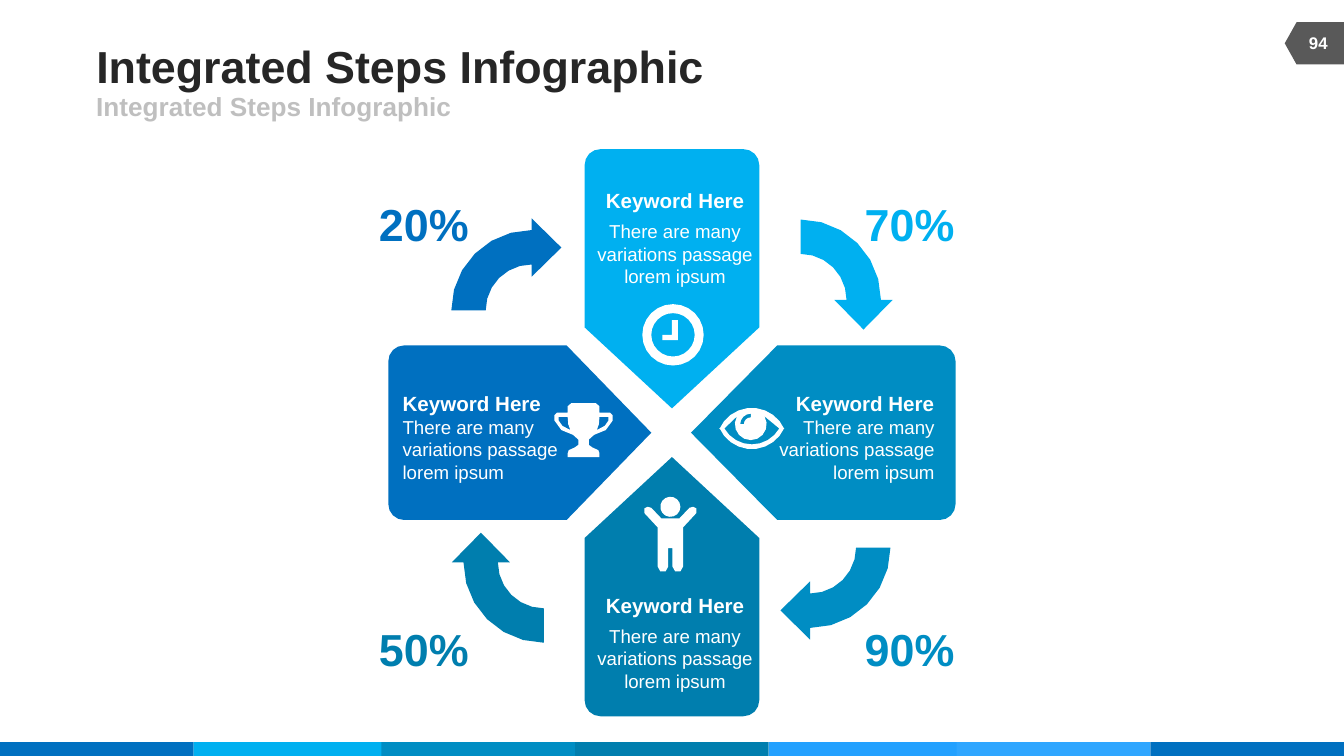
import math

import pptx
import pptx.dml.color
import pptx.enum.shapes
import pptx.enum.text
import pptx.util

Cm = pptx.util.Cm
RGBColor = pptx.dml.color.RGBColor
ALIGN = pptx.enum.text.PP_ALIGN
ANCHOR = pptx.enum.text.MSO_ANCHOR
SHAPE = pptx.enum.shapes.MSO_SHAPE

BLUE = RGBColor(0x00, 0x70, 0xC0)
SKY = RGBColor(0x00, 0xB0, 0xF0)
CERULEAN = RGBColor(0x00, 0x8D, 0xC3)
TEAL = RGBColor(0x00, 0x7E, 0xAE)
AZURE = RGBColor(0x23, 0xA1, 0xFF)
LIGHT_AZURE = RGBColor(0x2F, 0xA6, 0xFF)
WHITE = RGBColor(0xFF, 0xFF, 0xFF)
DARK = RGBColor(0x26, 0x26, 0x26)
GREY = RGBColor(0x59, 0x59, 0x59)
PALE_GREY = RGBColor(0xBF, 0xBF, 0xBF)

presentation = pptx.Presentation()
presentation.slide_width = Cm(25.4)
presentation.slide_height = Cm(14.29)
slide = presentation.slides.add_slide(presentation.slide_layouts[5])


def arc(x, y, radius, start, end):
    """Points in cm along an arc; degrees run clockwise from the right."""
    steps = max(3, round(abs(end - start) / (15 if radius > 0.3 else 24)))
    angles = [math.radians(start + (end - start) * i / steps) for i in range(steps + 1)]
    return [(x + radius * math.cos(a), y + radius * math.sin(a)) for a in angles]


def draw_outline(contours, color, x, y, turns=0):
    """Fill contours given in cm around (x, y), after clockwise quarter turns."""
    builder = None
    for contour in contours:
        points = []
        for px, py in contour:
            for _ in range(turns):
                px, py = -py, px
            points.append((Cm(x + px), Cm(y + py)))
        if builder is None:
            builder = slide.shapes.build_freeform(*points[0])
        else:
            builder.move_to(*points[0])
        builder.add_line_segments(points[1:], close=True)
    shape = builder.convert_to_shape()
    shape.shadow.inherit = False
    shape.fill.solid()
    shape.fill.fore_color.rgb = color
    shape.line.fill.background()


# Bottom colour strip and page tag
strip_lefts = [0, 3.66, 7.21, 10.87, 14.53, 18.08, 21.74]
strip_colors = [BLUE, SKY, CERULEAN, TEAL, AZURE, LIGHT_AZURE, BLUE]
blocks = [(SHAPE.RECTANGLE, left, 14.03, 3.66, 0.26, 0, color)
          for left, color in zip(strip_lefts, strip_colors)]
blocks.append((SHAPE.FLOWCHART_OFFPAGE_CONNECTOR, 24.44, 0.26, 0.8, 1.12, 90, GREY))
for kind, left, top, width, height, rotation, color in blocks:
    shape = slide.shapes.add_shape(kind, Cm(left), Cm(top), Cm(width), Cm(height))
    shape.rotation = rotation
    shape.shadow.inherit = False
    shape.fill.solid()
    shape.fill.fore_color.rgb = color
    shape.line.fill.background()

# Four panels pointing at the centre, clockwise from the top
for turns, (color, tip) in enumerate([(SKY, 0.46), (CERULEAN, 0.36), (TEAL, 0.46), (BLUE, 0.39)]):
    panel = (arc(-1.35, -5.06, 0.3, 180, 270) + arc(1.35, -5.06, 0.3, 270, 360)
             + [(1.65, -1.99), (0, -tip), (-1.65, -1.99)])
    draw_outline([panel], color, 12.7, 8.18, turns)

# Four curved arrows, clockwise from the top left
arrow = (arc(0, 0, 1.52, 180, 270) + [(0, -1.74), (0.56, -1.19), (0, -0.64)]
         + arc(0, 0, 0.87, 270, 180))
arrow_places = [(10.05, 5.87, BLUE), (15.13, 5.67, SKY),
                (15.31, 10.35, CERULEAN), (10.28, 10.63, TEAL)]
for turns, (x, y, color) in enumerate(arrow_places):
    draw_outline([arrow], color, x, y, turns)

# Icons
eye = [arc(0, 0.28, 0.67, 204, 336) + arc(0, -0.28, 0.67, 24, 156),
       arc(0, -0.3, 0.6, 150, 30) + arc(-0.02, -0.08, 0.3, -30, 210),
       arc(-0.02, -0.08, 0.2, 180, 270) + arc(-0.02, -0.08, 0.13, 270, 180)]
clock = [arc(0, 0, 0.58, 0, 360), arc(0, 0, 0.41, 0, 360),
         [(-0.02, -0.28), (0.09, -0.28), (0.09, 0.1), (-0.2, 0.1), (-0.2, 0), (-0.02, 0)]]
body_half = [(0.17, 0.41), (0.36, 0.21), (0.43, 0.19), (0.49, 0.22), (0.49, 0.31),
             (0.24, 0.58), (0.24, 1.32), (0.19, 1.41), (0.09, 1.41), (0.04, 1.32), (0.04, 0.97)]
person = [arc(0, 0.19, 0.19, 0, 360),
          body_half + [(-x, y) for x, y in reversed(body_half)]]
cup_half = [(0.23, 0), (0.3, 0.06), (0.3, 0.18), (0.5, 0.18), (0.55, 0.23), (0.55, 0.33),
            (0.42, 0.51), (0.2, 0.6), (0.1, 0.69), (0.1, 0.79), (0.17, 0.84),
            (0.28, 0.89), (0.3, 0.95), (0.3, 1.02)]
handle = [(0.3, 0.26), (0.47, 0.26), (0.47, 0.33), (0.4, 0.43), (0.25, 0.51), (0.29, 0.4)]
trophy = [cup_half + [(-x, y) for x, y in reversed(cup_half)],
          handle, [(-x, y) for x, y in handle]]
for icon, x, y in [(eye, 14.21, 8.1), (clock, 12.72, 6.33),
                   (person, 12.67, 9.39), (trophy, 11.03, 7.62)]:
    draw_outline(icon, WHITE, x, y)

# Text: shape, wording, left, top, width, height, size, bold, colour, alignment, anchor, wrap
title = slide.shapes.title
texts = [
    (title, "Integrated Steps Infographic", 1.82, 0.74, 15.67, 0.99,
     24, True, DARK, ALIGN.LEFT, ANCHOR.MIDDLE, True),
    (None, "Integrated Steps Infographic", 1.82, 1.73, 11.43, 0.56,
     14, True, PALE_GREY, ALIGN.LEFT, ANCHOR.MIDDLE, True),
    (None, "94", 24.38, 0.43, 1.07, 0.76,
     9, True, WHITE, ALIGN.CENTER, ANCHOR.MIDDLE, True),
]
for heading_left, heading_top, body_left, body_top, alignment in [
        (11.44, 3.56, 11.09, 4.16, ALIGN.CENTER), (11.44, 11.2, 11.09, 11.81, ALIGN.CENTER),
        (15.02, 7.39, 14.33, 7.86, ALIGN.RIGHT), (7.61, 7.4, 7.61, 7.86, ALIGN.LEFT)]:
    texts.append((None, "There are many variations passage lorem ipsum", body_left, body_top,
                  3.33, 1.27, 10, False, WHITE, alignment, ANCHOR.TOP, True))
    texts.append((None, "Keyword Here", heading_left, heading_top,
                  2.64, 0.48, 11, True, WHITE, alignment, ANCHOR.TOP, False))
for wording, left, top, color in [("20%", 7.16, 3.71, BLUE), ("50%", 7.16, 11.74, TEAL),
                                  ("70%", 16.34, 3.71, SKY), ("90%", 16.34, 11.74, CERULEAN)]:
    texts.append((None, wording, left, top, 1.7, 1.02,
                  24, True, color, ALIGN.CENTER, ANCHOR.BOTTOM, False))

for shape, wording, left, top, width, height, size, bold, color, alignment, anchor, wrap in texts:
    if shape is None:
        shape = slide.shapes.add_textbox(0, 0, 0, 0)
    shape.left, shape.top, shape.width, shape.height = Cm(left), Cm(top), Cm(width), Cm(height)
    text_frame = shape.text_frame
    text_frame.text = wording
    text_frame.word_wrap = wrap
    text_frame.auto_size = pptx.enum.text.MSO_AUTO_SIZE.NONE
    text_frame.vertical_anchor = anchor
    text_frame.margin_left = text_frame.margin_right = 0
    text_frame.margin_top = text_frame.margin_bottom = 0
    paragraph = text_frame.paragraphs[0]
    paragraph.alignment = alignment
    font = paragraph.runs[0].font
    font.name = "Arial"
    font.size = pptx.util.Pt(size)
    font.bold = bold
    font.color.rgb = color

presentation.save("out.pptx")
